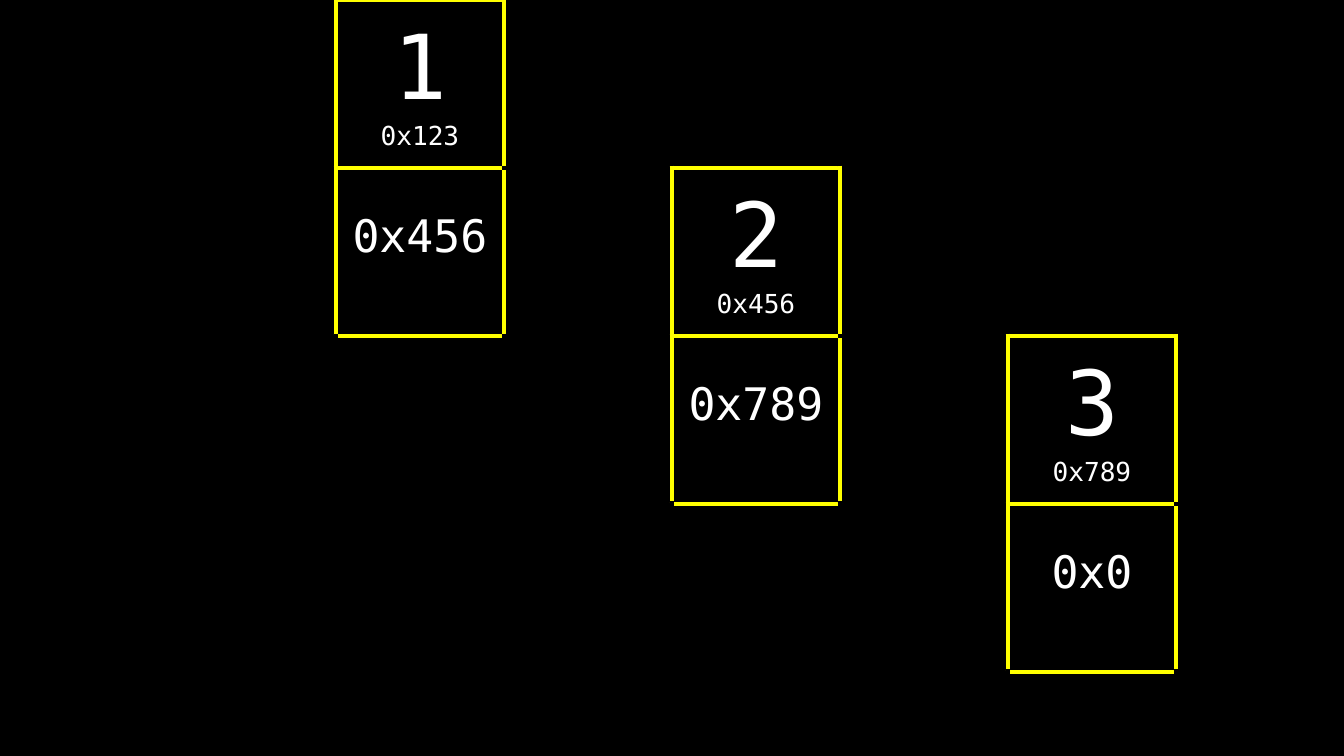
from dataclasses import dataclass

from lxml import etree
from pptx import Presentation
from pptx.dml.color import RGBColor
from pptx.enum.text import MSO_ANCHOR, PP_ALIGN
from pptx.oxml.ns import qn
from pptx.util import Pt

MIDDLE, BOTTOM = MSO_ANCHOR.MIDDLE, MSO_ANCHOR.BOTTOM
CENTER = PP_ALIGN.CENTER

SCALE = 914400 / 134.4
WIDTH, HEIGHT = 1344, 756
SIDE = 168
ROWS, COLS = 5, 8
PAD = 13
LIFT = 73  # bottom inset that raises the pointer text
BLACK, WHITE, YELLOW = "000000", "FFFFFF", "FFFF00"
FONT = "DejaVu Sans Mono"
PLAIN_STYLE = "{2D5ABB26-0587-4C30-8999-92F81FD0307C}"
EDGES = {"lnL": (0, -1), "lnR": (0, 1), "lnT": (-1, 0), "lnB": (1, 0)}


@dataclass
class Node:
    value: str
    address: str
    next: str
    row: int
    col: int


NODES = [
    Node("1", "0x123", "0x456", 0, 2),
    Node("2", "0x456", "0x789", 1, 4),
    Node("3", "0x789", "0x0", 2, 6),
]


def px(length: int) -> int:
    return round(length * SCALE)


def color(code: str) -> RGBColor:
    return RGBColor.from_string(code)


def write(cell, *lines: tuple[str, int], anchor=MIDDLE, bottom: int = PAD) -> None:
    """Fill a cell with centred lines, each a text and its size in points."""
    cell.vertical_anchor = anchor
    cell.margin_left = cell.margin_right = cell.margin_top = px(PAD)
    cell.margin_bottom = px(bottom)
    frame = cell.text_frame
    for i, (text, size) in enumerate(lines):
        para = frame.add_paragraph() if i else frame.paragraphs[0]
        para.alignment = CENTER
        run = para.add_run()
        run.text = text
        run.font.size = Pt(size)
        run.font.name = FONT
        run.font.color.rgb = color(WHITE)


def border(cell, hues: dict[str, str]) -> None:
    """Give each edge of a cell its line colour."""
    props = cell._tc.get_or_add_tcPr()
    for i, (edge, hue) in enumerate(hues.items()):
        line = etree.Element(qn(f"a:{edge}"), w=str(Pt(3)))
        fill = etree.SubElement(line, qn("a:solidFill"))
        etree.SubElement(fill, qn("a:srgbClr"), val=hue)
        props.insert(i, line)


def draw_grid(slide) -> None:
    frame = slide.shapes.add_table(ROWS, COLS, 0, 0, px(COLS * SIDE), px(ROWS * SIDE))
    table = frame.table
    table.first_row = table.horz_banding = False
    table._tbl.tblPr.find(qn("a:tableStyleId")).text = PLAIN_STYLE
    for col in table.columns:
        col.width = px(SIDE)
    for row in table.rows:
        row.height = px(SIDE)

    boxes = {(node.row + step, node.col) for node in NODES for step in (0, 1)}
    for r in range(ROWS):
        for c in range(COLS):
            cell = table.cell(r, c)
            cell.fill.background()
            # Cells that share an edge agree on its colour; the rest blend in.
            border(cell, {
                edge: YELLOW if boxes & {(r, c), (r + down, c + right)} else BLACK
                for edge, (down, right) in EDGES.items()
            })

    for node in NODES:
        write(table.cell(node.row, node.col), (node.value, 48), (node.address, 14))
        write(table.cell(node.row + 1, node.col), (node.next, 24),
              anchor=BOTTOM, bottom=LIFT)


def main() -> None:
    deck = Presentation()
    deck.slide_width, deck.slide_height = px(WIDTH), px(HEIGHT)
    slide = deck.slides.add_slide(deck.slide_layouts[6])
    back = slide.background.fill
    back.solid()
    back.fore_color.rgb = color(BLACK)
    draw_grid(slide)
    deck.save("out.pptx")


if __name__ == "__main__":
    main()
